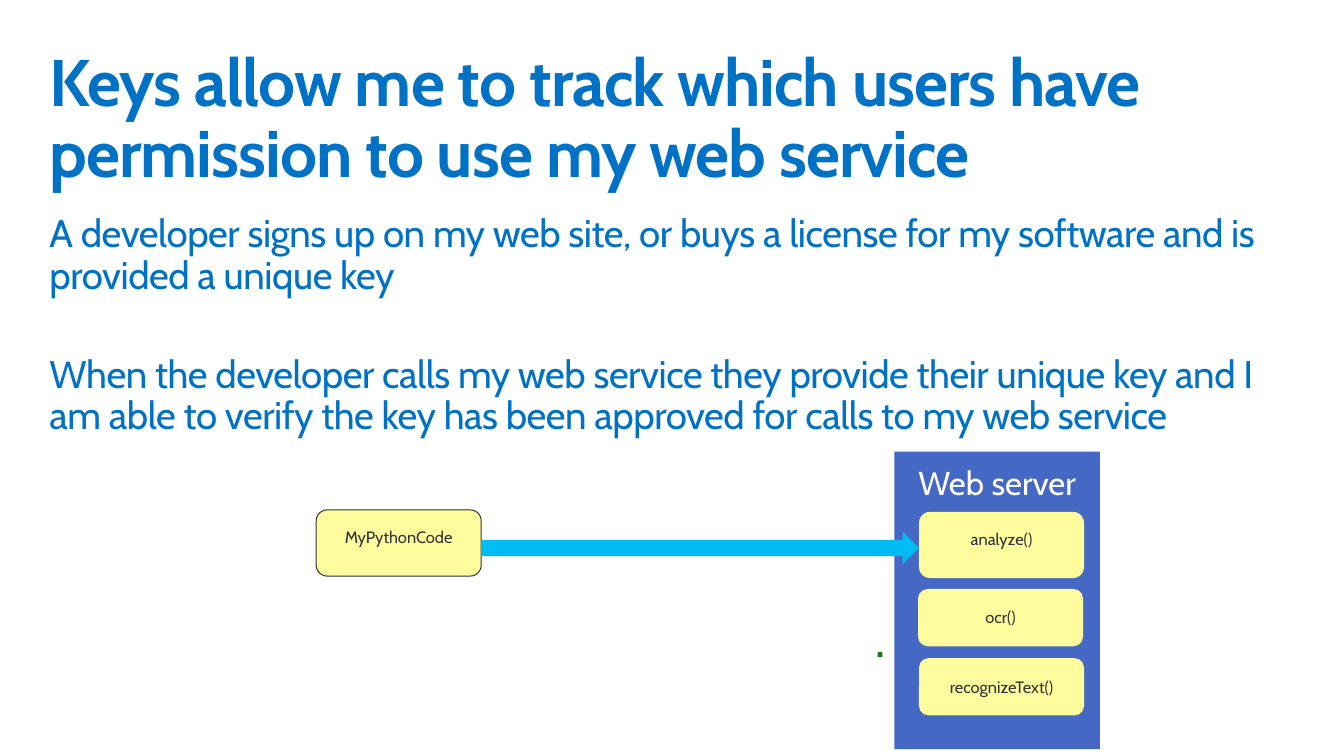
from pptx import Presentation
from pptx.dml.color import RGBColor
from pptx.enum.shapes import MSO_SHAPE
from pptx.enum.text import MSO_ANCHOR, MSO_AUTO_SIZE, PP_ALIGN
from pptx.oxml.ns import qn
from pptx.util import Inches, Pt

RECTANGLE, ROUNDED = MSO_SHAPE.RECTANGLE, MSO_SHAPE.ROUNDED_RECTANGLE
ARROW = MSO_SHAPE.RIGHT_ARROW
LEFT, CENTER = PP_ALIGN.LEFT, PP_ALIGN.CENTER
TOP, NO_RESIZE = MSO_ANCHOR.TOP, MSO_AUTO_SIZE.NONE

BLUE, INDIGO, CYAN, GREEN = "0072C6", "4668C5", "00BCF2", "107C10"
YELLOW, DARK, WHITE = "FFFC9E", "333333", "FFFFFF"


def color(value):
    return RGBColor.from_string(value)


def write(box, lines, size, ink, align, margins, spacing=0.9, gap=0, bold=False, tracking=0):
    """Fill a shape with paragraphs; tracking is in hundredths of a point."""
    frame = box.text_frame
    side, end = margins
    frame_format = {
        "text": "\n".join(lines), "word_wrap": True, "auto_size": NO_RESIZE,
        "vertical_anchor": TOP, "margin_left": Inches(side), "margin_right": Inches(side),
        "margin_top": Inches(end), "margin_bottom": Inches(end),
    }
    for name, value in frame_format.items():
        setattr(frame, name, value)
    for index, para in enumerate(frame.paragraphs):
        properties = para._p.get_or_add_pPr()
        properties.set("marL", "0")
        properties.set("indent", "0")
        properties.append(properties.makeelement(qn("a:buNone"), {}))
        para.alignment = align
        para.line_spacing = spacing
        para.space_before = Pt(gap if index else 0)
        for span in para.runs:
            font_format = {"name": "Cabin", "size": Pt(size), "bold": bold}
            for name, value in font_format.items():
                setattr(span.font, name, value)
            span.font.color.rgb = color(ink)
            if tracking:
                span._r.get_or_add_rPr().set("spc", str(tracking))


deck = Presentation()
deck.slide_width, deck.slide_height = Inches(13.6), Inches(7.65)
page = deck.slides.add_slide(deck.slide_layouts[1])

# Title and body
title, body = page.placeholders
for box, top, height in [(title, 0.4, 1), (body, 2.07, 2.49)]:
    box.left, box.top = Inches(0.4), Inches(top)
    box.width, box.height = Inches(12.8), Inches(height)

write(title, ["Keys allow me to track which users have permission to use my web service"],
      48, BLUE, LEFT, (0.1, 0.1), bold=True, tracking=-70)
write(body, [
    "A developer signs up on my web site, or buys a license for my software "
    "and is provided a unique key",
    "When the developer calls my web service they provide their unique key "
    "and I am able to verify the key has been approved for calls to my web service",
], 28, BLUE, LEFT, (0.1, 0.1), gap=42, tracking=-30)

# Diagram: kind, left, top, width, height, fill, line, label, size, ink, line spacing
diagram = [
    (RECTANGLE, 9.05, 4.57, 2.08, 3.01, INDIGO, None, "Web server", 24, WHITE, 0.9),
    (ROUNDED, 8.88, 6.6, 0.05, 0.05, GREEN, None, None, None, None, None),
    (ROUNDED, 9.3, 5.18, 1.67, 0.67, YELLOW, None, "analyze()", 12, DARK, 0.9),
    (ROUNDED, 9.29, 5.96, 1.67, 0.58, YELLOW, None, "ocr()", 12, DARK, 1.0),
    (ROUNDED, 9.3, 6.66, 1.67, 0.58, YELLOW, None, "recognizeText()", 12, DARK, 1.0),
    (ROUNDED, 3.2, 5.16, 1.67, 0.67, YELLOW, DARK, "MyPythonCode", 12, DARK, 0.9),
    (ARROW, 4.87, 5.38, 4.43, 0.33, CYAN, None, None, None, None, None),
]
for kind, left, top, width, height, fill, line, label, size, ink, spacing in diagram:
    shape = page.shapes.add_shape(kind, Inches(left), Inches(top), Inches(width), Inches(height))
    shape.shadow.inherit = False
    shape.fill.solid()
    shape.fill.fore_color.rgb = color(fill)
    if line:
        shape.line.color.rgb = color(line)
        shape.line.width = Pt(0.75)
    else:
        shape.line.fill.background()
    if label:
        write(shape, [label], size, ink, CENTER, (0.2, 0.16), spacing)

deck.save("out.pptx")
